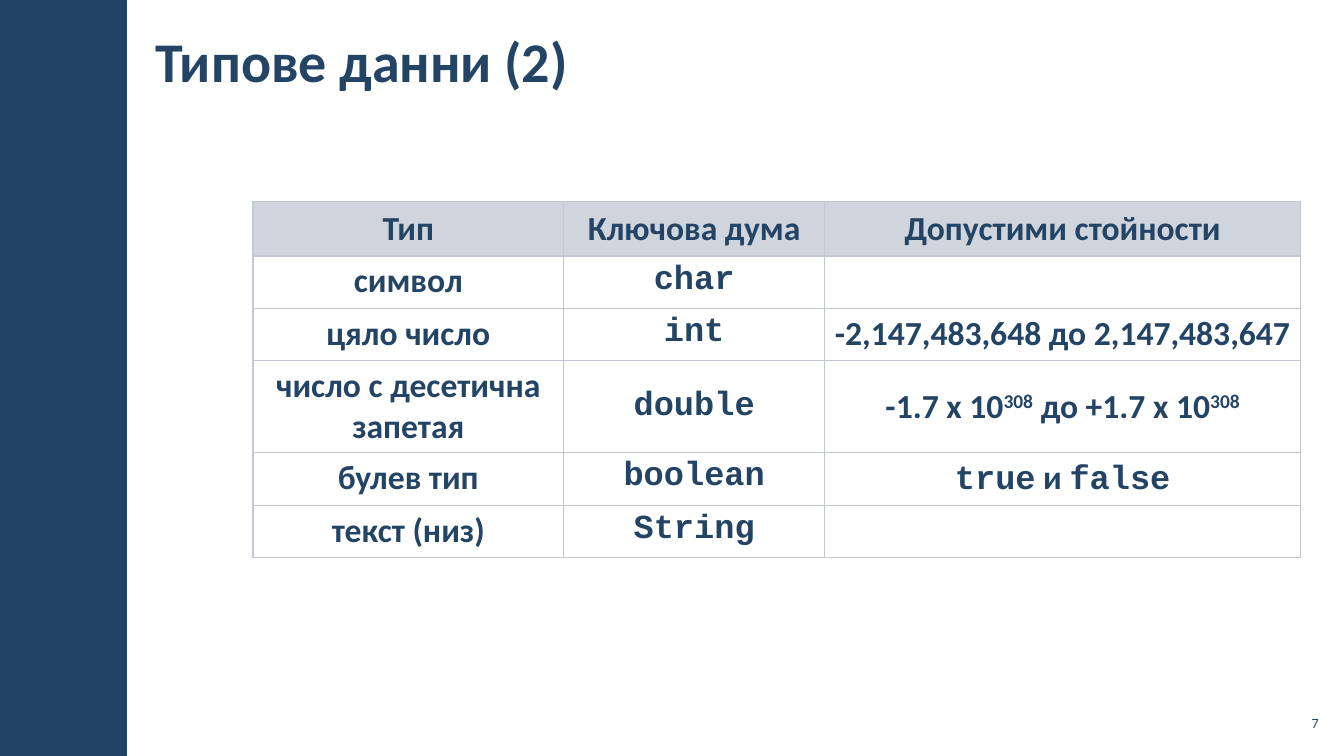
from lxml import etree
from pptx import Presentation
from pptx.dml.color import RGBColor
from pptx.enum.shapes import MSO_SHAPE
from pptx.enum.text import MSO_ANCHOR, PP_ALIGN
from pptx.oxml.ns import qn
from pptx.util import Inches, Pt

NAVY = RGBColor(0x23, 0x44, 0x65)
HEADER = RGBColor(0xA3, 0xAB, 0xBC)
BORDER = RGBColor(0xC2, 0xC7, 0xD2)
RECTANGLE = MSO_SHAPE.RECTANGLE
LEFT, CENTER, RIGHT = PP_ALIGN.LEFT, PP_ALIGN.CENTER, PP_ALIGN.RIGHT
TOP, MIDDLE = MSO_ANCHOR.TOP, MSO_ANCHOR.MIDDLE
SANS, MONO = "Calibri", "Courier New"
RAISED = "raised"

COLUMNS = [3.08, 2.59, 4.72]
HEADINGS = ["Тип", "Ключова дума", "Допустими стойности"]
TYPES = [
    ("символ", "char", []),
    ("цяло число", "int", [("-2,147,483,648 до 2,147,483,647", SANS)]),
    ("число с десетична\nзапетая", "double",
     [("-1.7 x 10", SANS), ("308", RAISED), (" до +1.7 x 10", SANS), ("308", RAISED)]),
    ("булев тип", "boolean", [("true", MONO), (" и ", SANS), ("false", MONO)]),
    ("текст (низ)", "String", []),
]
HEIGHTS = [0.54, 0.52, 0.52, 0.91, 0.52, 0.52]


class SlideBuilder:
    def __init__(self, deck):
        self.page = deck.slides.add_slide(deck.slide_layouts[5])

    def style(self, span, size, bold=True, font=SANS):
        span.font.name = font
        span.font.size = Pt(size)
        span.font.bold = bold
        span.font.color.rgb = NAVY

    def place(self, box, area, inset):
        box.left, box.top, box.width, box.height = map(Inches, area)
        frame = box.text_frame
        frame.word_wrap = True
        frame.vertical_anchor = MIDDLE
        frame.margin_left = frame.margin_right = Inches(inset)
        frame.margin_top = frame.margin_bottom = Inches(0.04)

    def set_text(self, box, text, size, bold, align):
        box.text_frame.text = text
        para = box.text_frame.paragraphs[0]
        para.alignment = align
        self.style(para.runs[0], size, bold)

    def side_band(self, width):
        band = self.page.shapes.add_shape(RECTANGLE, 0, 0, Inches(width), Inches(7.5))
        band.shadow.inherit = False
        band.fill.solid()
        band.fill.fore_color.rgb = NAVY
        band.line.fill.background()

    def title(self, text):
        box = self.page.shapes.title
        self.place(box, (1.42, 0.11, 9.18, 0.97), 0.12)
        self.set_text(box, text, 40, True, LEFT)

    def page_number(self, text):
        area = (12.65, 7, 0.47, 0.34)
        box = self.page.shapes.add_textbox(*map(Inches, area))
        self.place(box, area, 0.04)
        self.set_text(box, text, 10, False, RIGHT)

    def borders(self, cell):
        properties = cell._tc.get_or_add_tcPr()
        for index, side in enumerate(("lnL", "lnR", "lnT", "lnB")):
            line = etree.Element(qn("a:" + side), w=str(Pt(1)))
            fill = etree.SubElement(line, qn("a:solidFill"))
            etree.SubElement(fill, qn("a:srgbClr"), val=str(BORDER))
            properties.insert(index, line)

    def cell(self, cell, lines, anchor, header=False):
        cell.vertical_anchor = anchor
        cell.margin_left = cell.margin_right = Inches(0.05)
        if header:
            cell.fill.solid()
            cell.fill.fore_color.rgb = HEADER
            color = cell._tc.tcPr.find(".//" + qn("a:srgbClr"))
            etree.SubElement(color, qn("a:alpha"), val="50000")
        else:
            cell.fill.background()
        self.borders(cell)
        frame = cell.text_frame
        for index, pieces in enumerate(lines):
            para = frame.add_paragraph() if index else frame.paragraphs[0]
            para.alignment = CENTER
            if header:
                para.line_spacing = 0.95
            for text, kind in pieces:
                span = para.add_run()
                span.text = text
                self.style(span, 24, font=SANS if kind == RAISED else kind)
                if kind == RAISED:
                    span._r.get_or_add_rPr().set("baseline", "30000")

    def type_table(self):
        area = (2.51, 2, sum(COLUMNS), sum(HEIGHTS))
        table = self.page.shapes.add_table(
            len(HEIGHTS), len(COLUMNS), *map(Inches, area)).table
        table.first_row = table.horz_banding = False
        for column, width in zip(table.columns, COLUMNS):
            column.width = Inches(width)
        for row, height in zip(table.rows, HEIGHTS):
            row.height = Inches(height)
        for index, heading in enumerate(HEADINGS):
            self.cell(table.cell(0, index), [[(heading, SANS)]], MIDDLE, header=True)
        for index, (name, keyword, values) in enumerate(TYPES, 1):
            names = [[(line, SANS)] for line in name.split("\n")]
            anchor = MIDDLE if len(names) > 1 else TOP
            contents = (names, [[(keyword, MONO)]], [values])
            for column, lines in enumerate(contents):
                self.cell(table.cell(index, column), lines, anchor)


def main():
    deck = Presentation()
    deck.slide_width, deck.slide_height = Inches(13.33), Inches(7.5)
    builder = SlideBuilder(deck)
    builder.side_band(1.26)
    builder.title("Типове данни (2)")
    builder.type_table()
    builder.page_number("7")
    deck.save("out.pptx")


if __name__ == "__main__":
    main()
